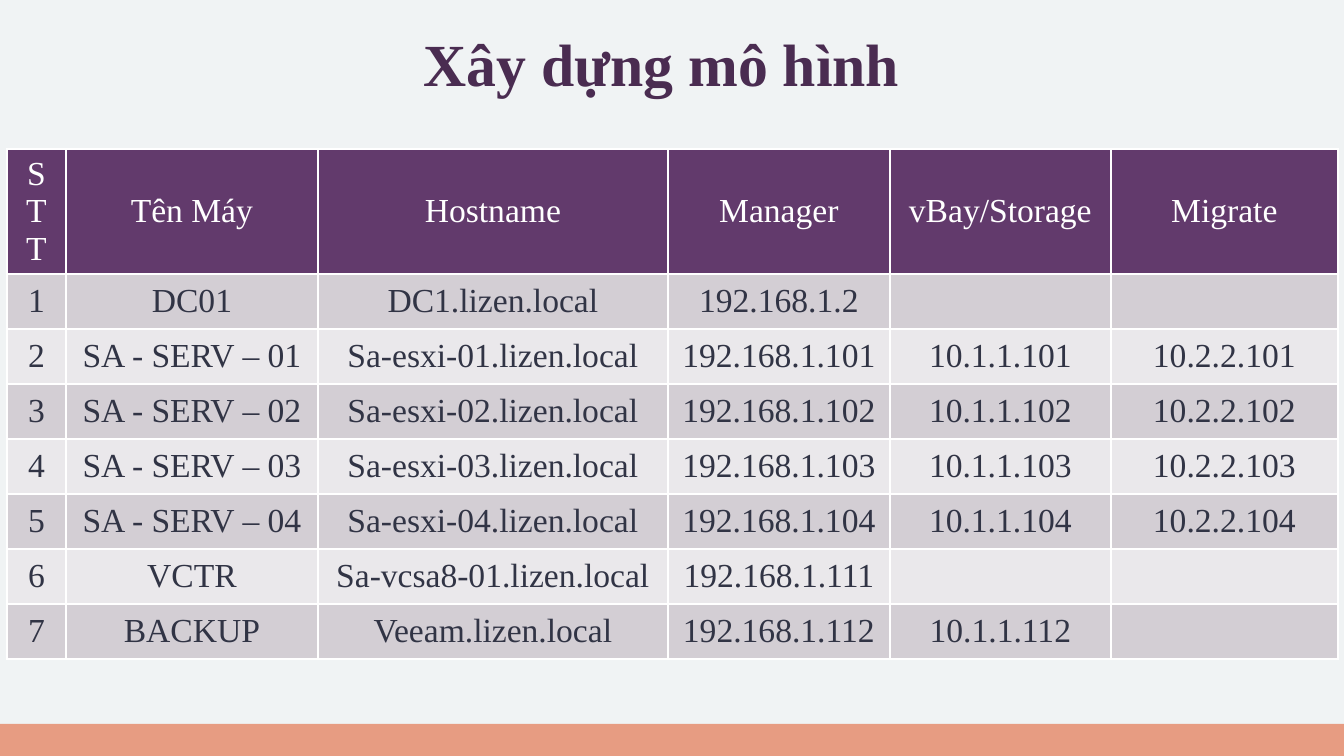
import dataclasses

import pptx
import pptx.dml.color
import pptx.enum.shapes
import pptx.enum.text
import pptx.oxml
import pptx.oxml.ns
import pptx.util

RGB = pptx.dml.color.RGBColor
BACKGROUND = RGB(0xF0, 0xF3, 0xF4)
BAND = RGB(0xE7, 0x9C, 0x82)
TITLE = RGB(0x4A, 0x2C, 0x51)
HEADER = RGB(0x62, 0x3A, 0x6C)
ODD_ROW = RGB(0xD3, 0xCE, 0xD4)
EVEN_ROW = RGB(0xEA, 0xE8, 0xEB)
INK = RGB(0x31, 0x34, 0x45)
WHITE = RGB(0xFF, 0xFF, 0xFF)

FONT = "Times New Roman"
PX_PER_INCH = 134.4
SLIDE_W, SLIDE_H = 1344, 756
BAND_H = 32
HEADER_H, ROW_H = 125, 55


@dataclasses.dataclass(frozen=True)
class Column:
    heading: str
    width: int


@dataclasses.dataclass(frozen=True)
class Machine:
    name: str
    hostname: str
    manager: str
    storage: str = ""
    migration: str = ""


@dataclasses.dataclass(frozen=True)
class CellStyle:
    fill: RGB
    ink: RGB


COLUMNS = [
    Column("STT", 59),
    Column("Tên Máy", 252),
    Column("Hostname", 350),
    Column("Manager", 222),
    Column("vBay/Storage", 221),
    Column("Migrate", 227),
]
MACHINES = [
    Machine("DC01", "DC1.lizen.local", "192.168.1.2"),
    *(
        Machine(f"SA - SERV – 0{n}", f"Sa-esxi-0{n}.lizen.local",
                f"192.168.1.10{n}", f"10.1.1.10{n}", f"10.2.2.10{n}")
        for n in range(1, 5)
    ),
    Machine("VCTR", "Sa-vcsa8-01.lizen.local", "192.168.1.111"),
    Machine("BACKUP", "Veeam.lizen.local", "192.168.1.112", "10.1.1.112"),
]


def px(n: int) -> pptx.util.Emu:
    return pptx.util.Emu(round(n * 914400 / PX_PER_INCH))


def write(tf, text: str, size: int, ink: RGB, bold: bool = False) -> None:
    p = tf.paragraphs[0]
    p.alignment = pptx.enum.text.PP_ALIGN.CENTER
    r = p.add_run()
    r.text = text
    for key, value in {"name": FONT, "size": pptx.util.Pt(size), "bold": bold}.items():
        setattr(r.font, key, value)
    r.font.color.rgb = ink


def set_borders(cell) -> None:
    """Insert white edges before the cell's fill, as the schema orders them."""
    tc_pr = cell._tc.get_or_add_tcPr()
    for i, tag in enumerate(("lnL", "lnR", "lnT", "lnB")):
        tc_pr.insert(i, pptx.oxml.parse_xml(
            f'<a:{tag} {pptx.oxml.ns.nsdecls("a")} w="{pptx.util.Pt(1)}">'
            f'<a:solidFill><a:srgbClr val="{WHITE}"/></a:solidFill></a:{tag}>'))


def format_cell(cell, text: str, style: CellStyle) -> None:
    cell.fill.solid()
    cell.fill.fore_color.rgb = style.fill
    cell.vertical_anchor = pptx.enum.text.MSO_ANCHOR.MIDDLE
    set_borders(cell)
    if text:
        write(cell.text_frame, text, 18, style.ink)


def add_band(s) -> None:
    sp = s.shapes.add_shape(pptx.enum.shapes.MSO_SHAPE.RECTANGLE, 0,
                            px(SLIDE_H - BAND_H), px(SLIDE_W), px(BAND_H))
    sp.shadow.inherit = False
    sp.fill.solid()
    sp.fill.fore_color.rgb = BAND
    sp.line.fill.background()


def add_title(s) -> None:
    sp = s.shapes.title
    box = {"left": 16, "top": 14, "width": 1306, "height": 97}
    for key, value in box.items():
        setattr(sp, key, px(value))
    tf = sp.text_frame
    for side in ("left", "top", "right", "bottom"):
        setattr(tf, f"margin_{side}", pptx.util.Inches(0.1))
    tf.word_wrap = True
    tf.vertical_anchor = pptx.enum.text.MSO_ANCHOR.MIDDLE
    write(tf, "Xây dựng mô hình ", 32, TITLE, bold=True)


def add_machine_table(s) -> None:
    rows = [[c.heading for c in COLUMNS]]
    rows += [[str(n), *dataclasses.astuple(m)] for n, m in enumerate(MACHINES, 1)]
    width = sum(c.width for c in COLUMNS)
    height = HEADER_H + ROW_H * len(MACHINES)
    table = s.shapes.add_table(len(rows), len(COLUMNS), px(7), px(149),
                               px(width), px(height)).table
    for column, c in zip(table.columns, COLUMNS):
        column.width = px(c.width)
    for i, texts in enumerate(rows):
        table.rows[i].height = px(ROW_H if i else HEADER_H)
        if i == 0:
            style = CellStyle(HEADER, WHITE)
        else:
            style = CellStyle(ODD_ROW if i % 2 else EVEN_ROW, INK)
        for j, text in enumerate(texts):
            format_cell(table.cell(i, j), text, style)


def main() -> None:
    prs = pptx.Presentation()
    prs.slide_width, prs.slide_height = px(SLIDE_W), px(SLIDE_H)
    s = prs.slides.add_slide(prs.slide_layouts[5])
    s.background.fill.solid()
    s.background.fill.fore_color.rgb = BACKGROUND
    add_band(s)
    add_title(s)
    add_machine_table(s)
    prs.save("out.pptx")


if __name__ == "__main__":
    main()
